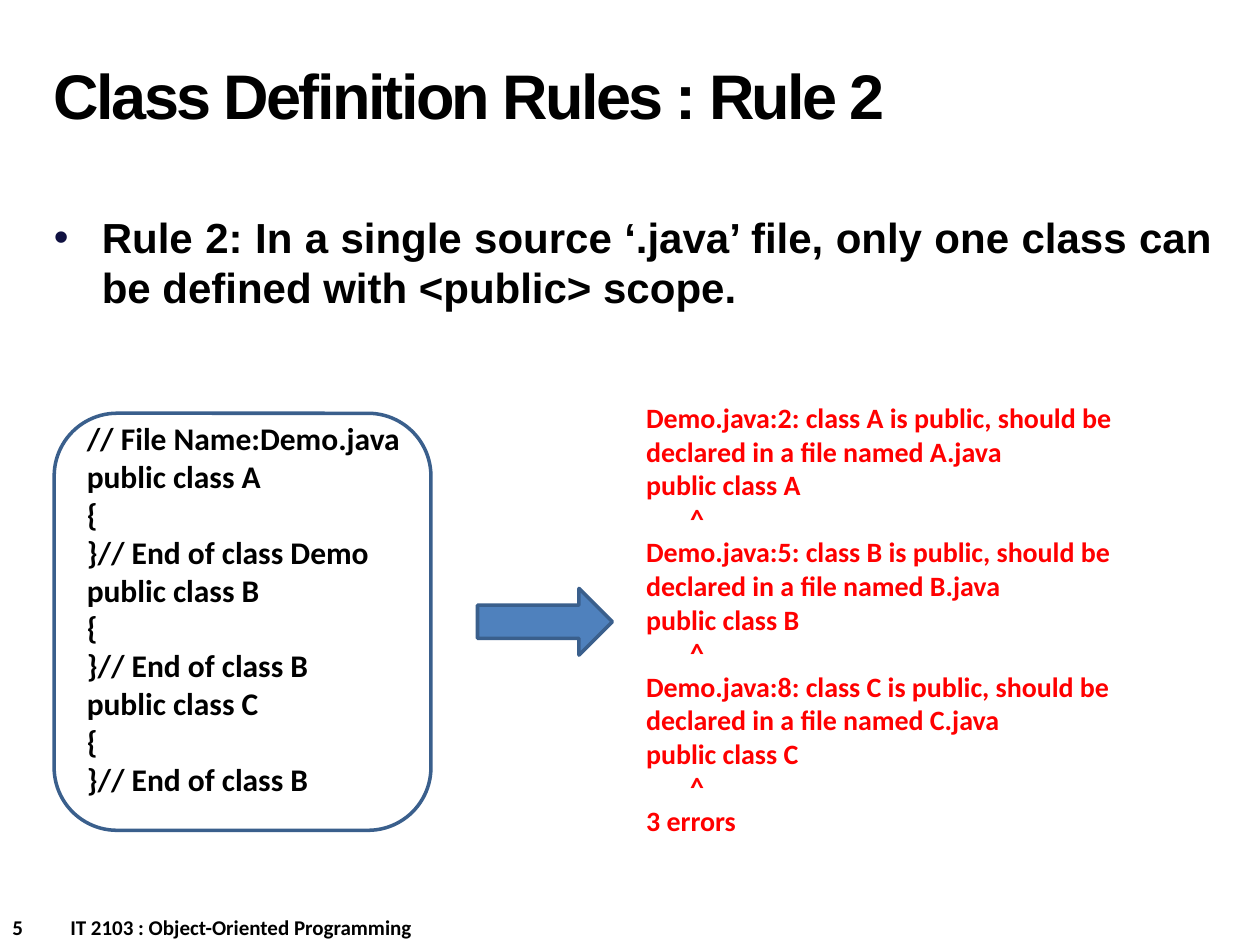
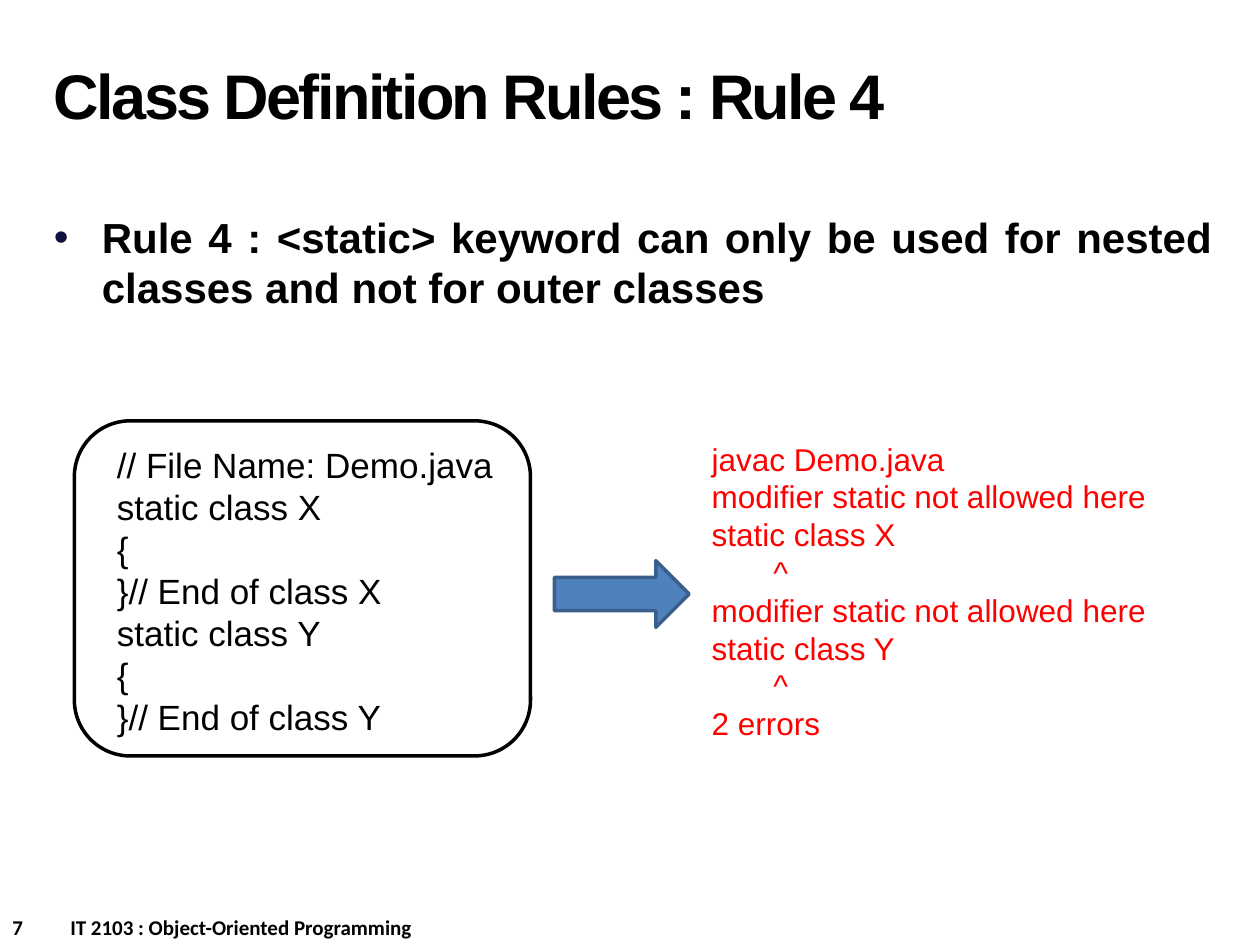
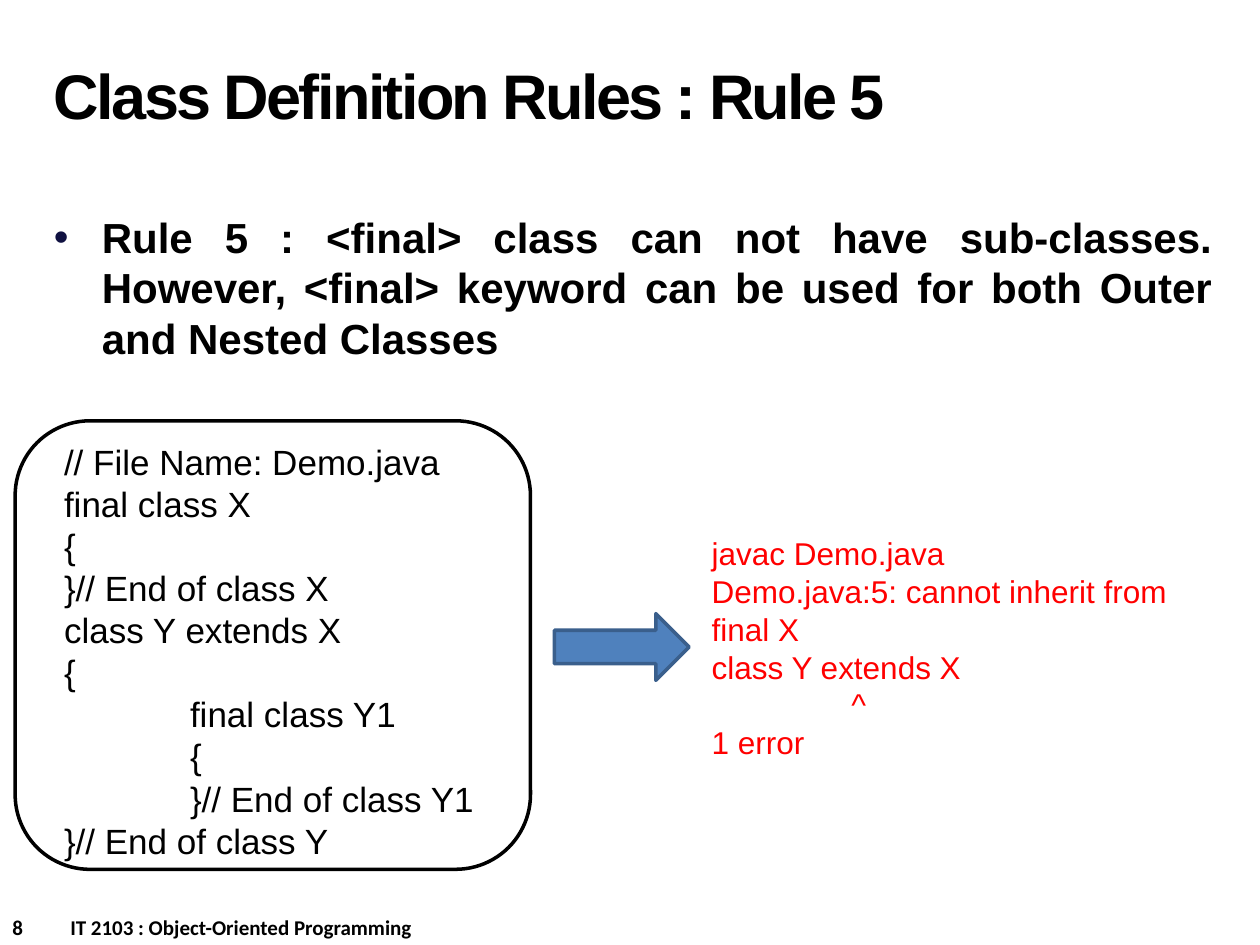
from lxml.etree import SubElement
from pptx import Presentation
from pptx.dml.color import RGBColor as RGB
from pptx.enum.shapes import MSO_SHAPE as SHAPE
from pptx.enum.text import MSO_ANCHOR as ANCHOR, MSO_AUTO_SIZE as FIT, PP_ALIGN as ALIGN
from pptx.oxml.ns import qn
from pptx.util import Inches, Pt

COLORS = {"ink": "000000", "error": "FF0000", "bullet": "101141",
          "arrow": "4F81BD", "edge": "3A5F8C", "paper": "FFFFFF"}
COLUMNS, ROWS = 100, 75
WIDTH, HEIGHT = Inches(10), Inches(7.5)
COURSE = "IT 2103 : Object-Oriented Programming"

FORMATS = {
    "title": {"size": Pt(36), "name": "Arial", "bold": True},
    "rule": {"size": Pt(24), "name": "Arial", "bold": True},
    "footer": {"size": Pt(12), "name": "Calibri", "bold": True},
    "bold code": {"size": Pt(18), "name": "Calibri", "bold": True},
    "bold errors": {"size": Pt(16), "name": "Calibri", "bold": True},
    "code": {"size": Pt(20), "name": "Arial", "bold": False},
    "errors": {"size": Pt(18), "name": "Arial", "bold": False},
}


def color(key):
    return RGB.from_string(COLORS[key])


def assign(target, values):
    for attribute, value in values.items():
        setattr(target, attribute, value)


def indent(paragraph, margin, first=0):
    properties = paragraph._p.get_or_add_pPr()
    properties.set("marL", str(Inches(margin)))
    properties.set("indent", str(Inches(first)))
    return properties


class Deck:
    def __init__(self):
        self.presentation = Presentation()
        assign(self.presentation, {"slide_width": WIDTH, "slide_height": HEIGHT})
        self.slide = None

    def place(self, left, top, width, height):
        column, row = WIDTH / COLUMNS, HEIGHT / ROWS
        return (round(left * column), round(top * row),
                round(width * column), round(height * row))

    def new_slide(self, number):
        self.slide = self.presentation.slides.add_slide(self.presentation.slide_layouts[6])
        background = self.slide.background.fill
        background.solid()
        background.fore_color.rgb = color("paper")
        footer = self.text((0, 72.1, 50, 3), [f"{number}\t{COURSE}"], "footer")
        indent(footer.paragraphs[0], 0.46, -0.46)

    def text(self, area, lines, style, ink="ink", fit=FIT.SHAPE_TO_FIT_TEXT):
        frame = self.slide.shapes.add_textbox(*self.place(*area)).text_frame
        assign(frame, {"word_wrap": True, "auto_size": fit})
        for index, line in enumerate(lines):
            words, margin = line if isinstance(line, tuple) else (line, 0)
            paragraph = frame.add_paragraph() if index else frame.paragraphs[0]
            if margin:
                indent(paragraph, margin)
            run = paragraph.add_run()
            run.text = words
            assign(run.font, FORMATS[style])
            run.font.color.rgb = color(ink)
        return frame

    def title(self, words):
        frame = self.text((3.3, 1.7, 69.2, 12.5), [words], "title", fit=FIT.NONE)
        frame.vertical_anchor = ANCHOR.MIDDLE
        heading = frame.paragraphs[0]
        heading.line_spacing = Pt(36)
        heading.runs[0].font._element.set("spc", "-150")

    def rule(self, words, height):
        frame = self.text((3.3, 16.3, 93.9, height), [words], "rule", fit=FIT.NONE)
        statement = frame.paragraphs[0]
        assign(statement, {"alignment": ALIGN.JUSTIFY, "space_before": Pt(4)})
        properties = indent(statement, 0.38, -0.38)
        tint = SubElement(properties, qn("a:buClr"))
        SubElement(tint, qn("a:srgbClr"), val=COLORS["bullet"])
        SubElement(properties, qn("a:buFont"), typeface="Arial")
        SubElement(properties, qn("a:buChar"), char="•")

    def outline(self, kind, area, edge, fill=None):
        shape = self.slide.shapes.add_shape(kind, *self.place(*area))
        shape.shadow.inherit = False
        if fill:
            shape.fill.solid()
            shape.fill.fore_color.rgb = color(fill)
        else:
            shape.fill.background()
        shape.line.color.rgb = color(edge)
        shape.line.width = Pt(2)

    def arrow(self, left, top):
        self.outline(SHAPE.RIGHT_ARROW, (left, top, 10.7, 5.3), "edge", "arrow")

    def code(self, area, lines, style, border, edge):
        self.text(area, lines, style)
        self.outline(SHAPE.ROUNDED_RECTANGLE, border, edge)

    def errors(self, area, lines, style):
        self.text(area, lines, style, "error")


def misplaced(line, name):
    return [f"Demo.java:{line}: class {name} is public, should be "
            f"declared in a file named {name}.java",
            f"public class {name}", ("^", 0.35)]


def disallowed(name):
    return ["modifier static not allowed here", f"static class {name}", ("^", 0.49)]


def empty_class(header, end):
    return [header, "{", f"}}// End of class {end}"]


RULES = [
    {"page": 5, "number": 2, "height": 10.1,
     "rule": "Rule 2: In a single source ‘.java’ file, only one class can "
             "be defined with <public> scope.",
     "arrow": (37.9, 46.7),
     "code": {"area": (5.9, 32.8, 31.5, 31.3), "style": "bold code",
              "border": (4.3, 32.8, 29.9, 33.1), "edge": "edge",
              "lines": ["// File Name:Demo.java",
                        *empty_class("public class A", "Demo"),
                        *empty_class("public class B", "B"),
                        *empty_class("public class C", "B")]},
     "errors": {"area": (50.3, 31.3, 46.6, 36), "style": "bold errors",
                "lines": [*misplaced(2, "A"), *misplaced(5, "B"),
                          *misplaced(8, "C"), "3 errors"]}},
    {"page": 7, "number": 4, "height": 10.1,
     "rule": "Rule 4 : <static> keyword can only be used for nested "
             "classes and not for outer classes",
     "arrow": (44, 44.5),
     "code": {"area": (8.3, 34.7, 32.3, 24.6), "style": "code",
              "border": (5.9, 33.4, 36.2, 26.6), "edge": "ink",
              "lines": ["// File Name: Demo.java",
                        *empty_class("static class X", "X"),
                        *empty_class("static class Y", "Y")]},
     "errors": {"area": (55.5, 34.4, 43.3, 25.2), "style": "errors",
                "lines": ["javac Demo.java", *disallowed("X"),
                          *disallowed("Y"), "2 errors"]}},
    {"page": 8, "number": 5, "height": 14.1,
     "rule": "Rule 5 : <final> class can not have sub-classes. However, <final> "
             "keyword can be used for both Outer and Nested Classes",
     "arrow": (44, 48.7),
     "code": {"area": (4.1, 34.5, 36.5, 34.7), "style": "code",
              "border": (1.2, 33.4, 40.9, 35.6), "edge": "ink",
              "lines": ["// File Name: Demo.java",
                        *empty_class("final class X", "X"),
                        "class Y extends X", "{",
                        *[(line, 1) for line in empty_class("final class Y1", "Y1")],
                        "}// End of class Y"]},
     "errors": {"area": (55.5, 41.9, 43.3, 19.2), "style": "errors",
                "lines": ["javac Demo.java",
                          "Demo.java:5: cannot inherit from final X",
                          "class Y extends X", ("^", 1.11), "1 error"]}},
]


def main():
    deck = Deck()
    for lesson in RULES:
        deck.new_slide(lesson["page"])
        deck.rule(lesson["rule"], lesson["height"])
        deck.title(f"Class Definition Rules : Rule {lesson['number']}")
        deck.arrow(*lesson["arrow"])
        deck.code(**lesson["code"])
        deck.errors(**lesson["errors"])
    deck.presentation.save("out.pptx")


if __name__ == "__main__":
    main()
